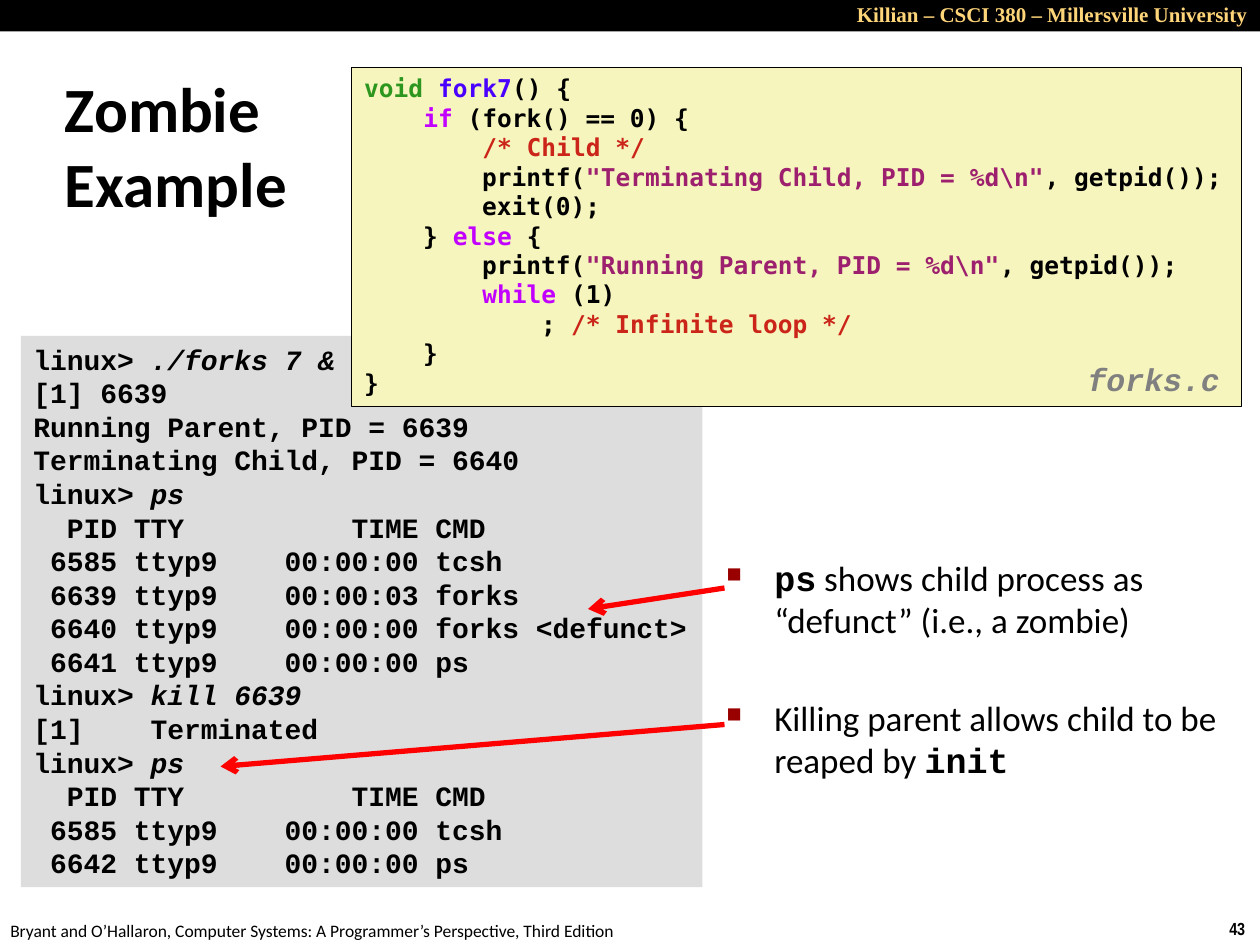
from dataclasses import dataclass, field

from lxml import etree
from pptx import Presentation
from pptx import util as u
from pptx.dml.color import RGBColor
from pptx.enum import shapes, text
from pptx.oxml import ns

COLUMNS, ROWS = 120, 90  # twelve grid units to the inch


def style(name, size, color="000000", **flags):
    return {"name": name, "size": u.Pt(size), "color": color, **flags}


def code_style(color):
    return style("DejaVu Sans Mono", 14, color, bold=True)


@dataclass
class Theme:
    bar: str = "000000"
    terminal: str = "DDDDDD"
    code: str = "F6F5BD"
    bullet: str = "990000"
    arrow: str = "FF0000"
    styles: dict = field(default_factory=lambda: {
        "header": style("Times New Roman", 12, "FFD579", bold=True),
        "number": style("Arial Narrow", 10, bold=True),
        "footer": style("Calibri", 10),
        "title": style("Calibri", 36, bold=True),
        "body": style("Calibri", 20),
        "term": style("Courier New", 20, bold=True),
        "output": style("Courier New", 16, bold=True),
        "input": style("Courier New", 16, bold=True, italic=True),
        "file": style("Courier New", 18, "808080", bold=True, italic=True),
        "code": code_style("000000"),
        "type": code_style("2D961E"),
        "function": code_style("4A00FF"),
        "keyword": code_style("C200FF"),
        "comment": code_style("CB2418"),
        "string": code_style("9D206F"),
    })


class SlideBuilder:
    def __init__(self, presentation, theme):
        self.theme = theme
        self.column = presentation.slide_width / COLUMNS
        self.row = presentation.slide_height / ROWS
        self.slide = presentation.slides.add_slide(presentation.slide_layouts[6])

    def grid(self, *values):
        """Turn alternating column and row counts into lengths."""
        return [round(value * (self.row if i % 2 else self.column))
                for i, value in enumerate(values)]

    def panel(self, area, fill, outline=None):
        shape = self.slide.shapes.add_shape(
            shapes.MSO_SHAPE.RECTANGLE, *self.grid(*area))
        shape.shadow.inherit = False
        shape.fill.solid()
        shape.fill.fore_color.rgb = RGBColor.from_string(fill)
        if outline:
            shape.line.color.rgb = RGBColor.from_string(outline)
            shape.line.width = u.Pt(0.25)
        else:
            shape.line.fill.background()
        return shape

    def text_box(self, area, lines, **options):
        box = self.slide.shapes.add_textbox(*self.grid(*area))
        self.add_lines(box, lines, **options)

    def add_lines(self, shape, lines, wrap=False, anchor=text.MSO_ANCHOR.TOP,
                  bullets=False, gap=None, **paragraph_format):
        """Fill a shape with lines, each a list of (words, style name) spans."""
        frame = shape.text_frame
        frame.word_wrap = wrap
        frame.vertical_anchor = anchor
        values = {"alignment": text.PP_ALIGN.LEFT, **paragraph_format}
        for index, spans in enumerate(lines):
            paragraph = frame.add_paragraph() if index else frame.paragraphs[0]
            if bullets:
                self.add_bullet(paragraph)
            for key, value in values.items():
                setattr(paragraph, key, value)
            if index and gap:
                paragraph.space_before = gap
            for words, style_name in spans:
                self.add_span(paragraph, words, self.theme.styles[style_name])

    def add_span(self, paragraph, words, values):
        for index, part in enumerate(words.split("\n")):
            if index:
                paragraph.add_line_break()
            run = paragraph.add_run()
            run.text = part
            for key, value in values.items():
                if key == "color":
                    run.font.color.rgb = RGBColor.from_string(value)
                else:
                    setattr(run.font, key, value)

    def add_bullet(self, paragraph):
        properties = paragraph._p.get_or_add_pPr()
        properties.set("marL", str(u.Inches(0.38)))
        properties.set("indent", str(u.Inches(-0.38)))
        color = etree.SubElement(properties, ns.qn("a:buClr"))
        etree.SubElement(color, ns.qn("a:srgbClr"), val=self.theme.bullet)
        etree.SubElement(properties, ns.qn("a:buSzPct"), val="60000")
        etree.SubElement(properties, ns.qn("a:buChar"), char="■")

    def arrow(self, *ends):
        connector = self.slide.shapes.add_connector(
            shapes.MSO_CONNECTOR.STRAIGHT, *self.grid(*ends))
        connector.line.color.rgb = RGBColor.from_string(self.theme.arrow)
        connector.line.width = u.Pt(3)
        properties = connector._element.spPr
        etree.SubElement(properties.find(ns.qn("a:ln")), ns.qn("a:tailEnd"), type="arrow")
        etree.SubElement(properties, ns.qn("a:effectLst"))


def printf_line(message):
    return [("        printf(", "code"), (f'"{message}, PID = %d\\n"', "string"),
            (", getpid());", "code")]


def output(*lines):
    return [[(line, "output")] for line in lines]


def command(words):
    return [[("linux> ", "output"), (words, "input")]]


def process_table(*processes):
    rows = [f" {pid} ttyp9    00:00:{seconds:02} {name}"
            for pid, seconds, name in processes]
    return output("  PID TTY          TIME CMD", *rows)


SESSION = [
    *command("./forks 7 &"),
    *output("[1] 6639", "Running Parent, PID = 6639", "Terminating Child, PID = 6640"),
    *command("ps"),
    *process_table((6585, 0, "tcsh"), (6639, 3, "forks"),
                   (6640, 0, "forks <defunct>"), (6641, 0, "ps")),
    *command("kill 6639"),
    *output("[1]    Terminated"),
    *command("ps"),
    *process_table((6585, 0, "tcsh"), (6642, 0, "ps")),
]

PROGRAM = [
    [("void ", "type"), ("fork7", "function"), ("() {", "code")],
    [("    ", "code"), ("if", "keyword"), (" (fork() == 0) {", "code")],
    [("        ", "code"), ("/* Child */", "comment")],
    printf_line("Terminating Child"),
    [("        exit(0);", "code")],
    [("    } ", "code"), ("else", "keyword"), (" {", "code")],
    printf_line("Running Parent"),
    [("        ", "code"), ("while", "keyword"), (" (1)", "code")],
    [("            ; ", "code"), ("/* Infinite loop */", "comment")],
    [("    }", "code")],
    [("}", "code")],
]

NOTES = [
    [("ps", "term"), (" shows child process as “defunct” (i.e., a zombie)", "body")],
    [("Killing parent allows child to be reaped by ", "body"), ("init", "term")],
]


def main():
    presentation = Presentation()
    presentation.slide_width, presentation.slide_height = u.Inches(10), u.Inches(7.5)
    theme = Theme()
    builder = SlideBuilder(presentation, theme)

    builder.panel((0, 0, COLUMNS, 3), theme.bar)
    builder.text_box((70, -0.4, 50, 3.6),
                     [[("Killian – CSCI 380 – Millersville University", "header")]],
                     wrap=True, alignment=text.PP_ALIGN.RIGHT)
    builder.text_box((115.9, 86.8, 4.1, 3.2), [[("43", "number")]])
    builder.text_box((-0.2, 87, 61, 3.2), [[(
        "Bryant and O’Hallaron, Computer Systems: A Programmer’s Perspective, "
        "Third Edition", "footer")]])

    terminal = builder.panel((2, 32, 64.9, 52.5), theme.terminal)
    builder.add_lines(terminal, SESSION)
    builder.text_box((5, 6.6, 26.3, 14.4), [[("Zombie\nExample", "title")]],
                     wrap=True, anchor=text.MSO_ANCHOR.MIDDLE)
    builder.text_box((68, 52.4, 52, 34.6), NOTES, wrap=True, bullets=True, gap=u.Pt(32))

    program = builder.panel((33.5, 6.4, 84.7, 32.3), theme.code, outline="000000")
    builder.add_lines(program, PROGRAM)
    builder.text_box((102.4, 34, 15.8, 4.6), [[("forks.c", "file")]], line_spacing=0.94)

    builder.arrow(69, 56, 56, 58)
    builder.arrow(69, 69, 21, 73)
    presentation.save("out.pptx")


if __name__ == "__main__":
    main()
